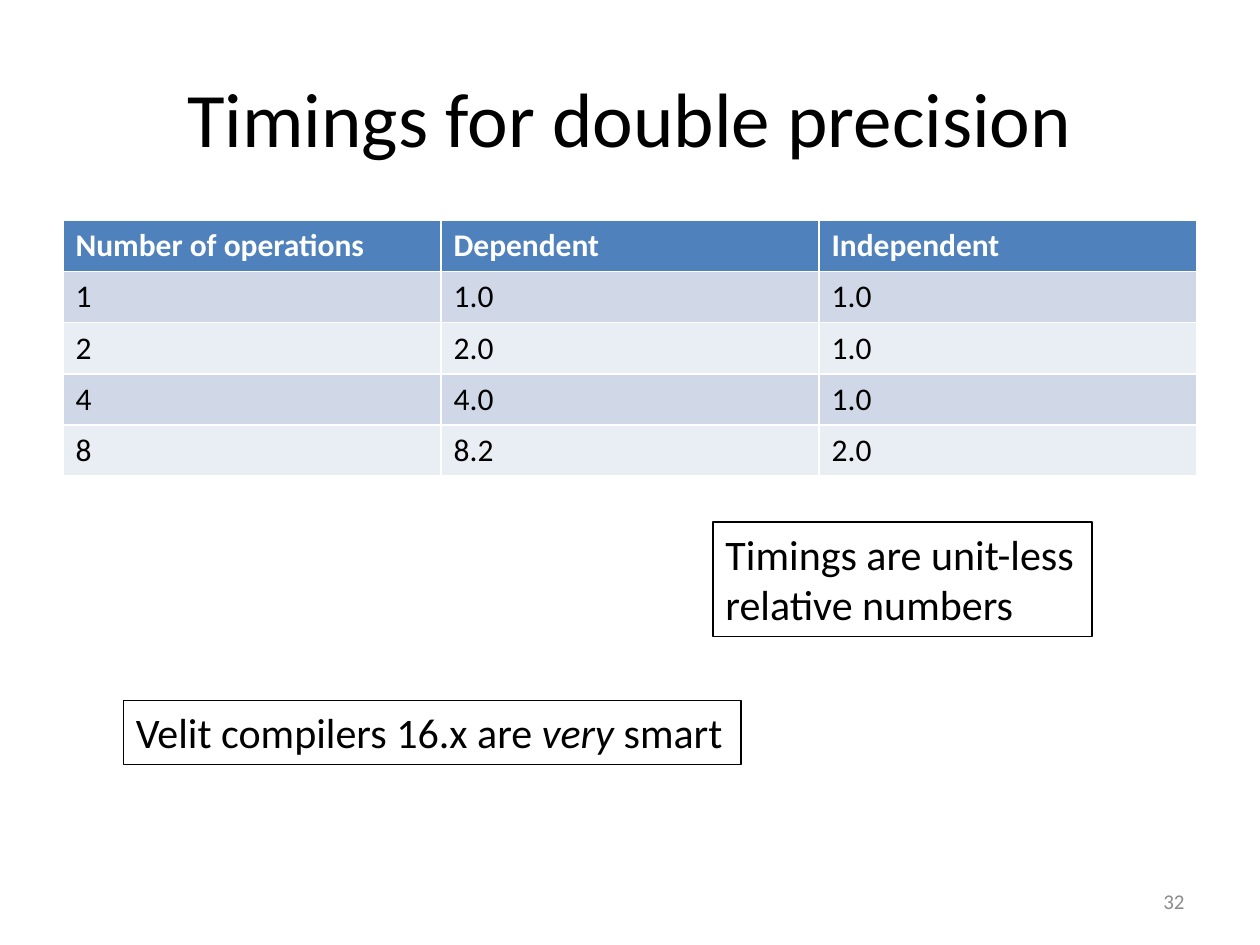
from pptx import Presentation
from pptx import util as u
from pptx.dml.color import RGBColor
from pptx.enum import shapes, text

BLACK = RGBColor(0x00, 0x00, 0x00)
WHITE = RGBColor(0xFF, 0xFF, 0xFF)
GRAY = RGBColor(0x8C, 0x8C, 0x8C)
BLUE = RGBColor(0x4F, 0x81, 0xBD)
BAND_DARK = RGBColor(0xD0, 0xD8, 0xE8)
BAND_LIGHT = RGBColor(0xE9, 0xED, 0xF4)


def write(para, words, size=18, color=BLACK, bold=False, italic=False,
          align=text.PP_ALIGN.LEFT, font="Calibri"):
    para.alignment = align
    for index, line in enumerate(words.split("\n")):
        if index:
            para.add_line_break()
        span = para.add_run()
        span.text = line
        span.font.name = font
        span.font.size = u.Pt(size)
        span.font.bold = bold
        span.font.italic = italic
        span.font.color.rgb = color


class SlideBuilder:
    def __init__(self, page):
        self.page = page

    def label(self, words, left, top, width, height, **style):
        box = self.page.shapes.add_textbox(*map(u.Pt, (left, top, width, height)))
        frame = box.text_frame
        frame.word_wrap = True
        frame.vertical_anchor = text.MSO_ANCHOR.MIDDLE
        write(frame.paragraphs[0], words, **style)

    def note(self, parts, left, top, width, height, fill=None):
        box = self.page.shapes.add_shape(
            shapes.MSO_SHAPE.RECTANGLE, *map(u.Pt, (left, top, width, height)))
        box.shadow.inherit = False
        if fill is None:
            box.fill.background()
        else:
            box.fill.solid()
            box.fill.fore_color.rgb = fill
        box.line.color.rgb = BLACK
        box.line.width = u.Pt(0.75)
        frame = box.text_frame
        frame.word_wrap = False
        frame.vertical_anchor = text.MSO_ANCHOR.TOP
        for words, italic in parts:
            write(frame.paragraphs[0], words, size=24, italic=italic)

    def table(self, rows, left, top, width, row_height):
        frame = self.page.shapes.add_table(
            len(rows), len(rows[0]),
            *map(u.Pt, (left, top, width, row_height * len(rows))))
        for row_index, row in enumerate(rows):
            header = row_index == 0
            band = BAND_DARK if row_index % 2 else BAND_LIGHT
            for column_index, words in enumerate(row):
                cell = frame.table.cell(row_index, column_index)
                cell.fill.solid()
                cell.fill.fore_color.rgb = BLUE if header else band
                write(cell.text_frame.paragraphs[0], words, bold=header,
                      color=WHITE if header else BLACK)


deck = Presentation()
deck.slide_width = u.Pt(720)
deck.slide_height = u.Pt(540)
slide = SlideBuilder(deck.slides.add_slide(deck.slide_layouts[6]))

slide.label("Timings for double precision", 36, 21.6, 648, 90,
            size=44, align=text.PP_ALIGN.CENTER)
slide.table([
    ("Number of operations", "Dependent", "Independent"),
    ("1", "1.0", "1.0"),
    ("2", "2.0", "1.0"),
    ("4", "4.0", "1.0"),
    ("8", "8.2", "2.0"),
], 36, 126, 648, 29.2)
slide.label("32", 516, 500.5, 168, 28.75,
            size=12, color=GRAY, align=text.PP_ALIGN.RIGHT)
slide.note([("Timings are unit-less\nrelative numbers", False)],
           407.5, 298.25, 216.5, 65.5, fill=WHITE)
slide.note([("Velit compilers 16.x are ", False), ("very", True), (" smart", False)],
           70.5, 400.25, 353, 36.5)

deck.save("out.pptx")
